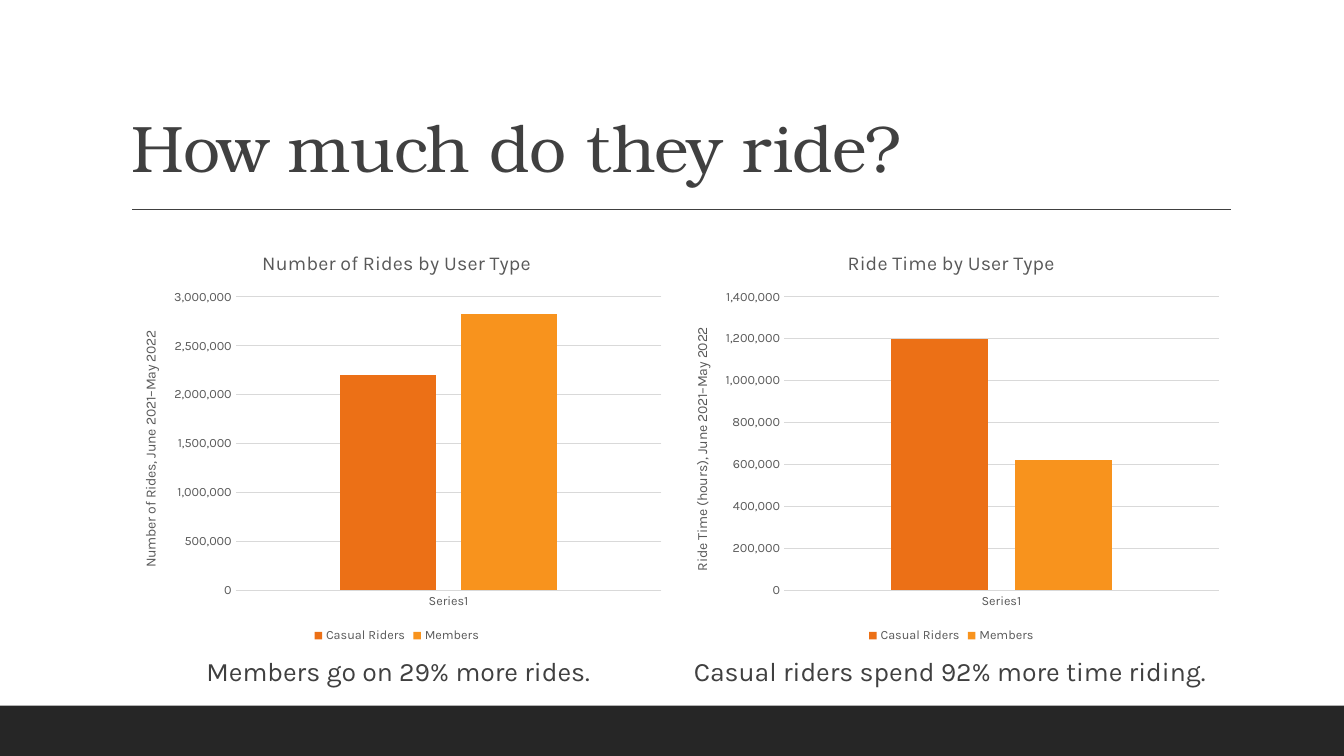
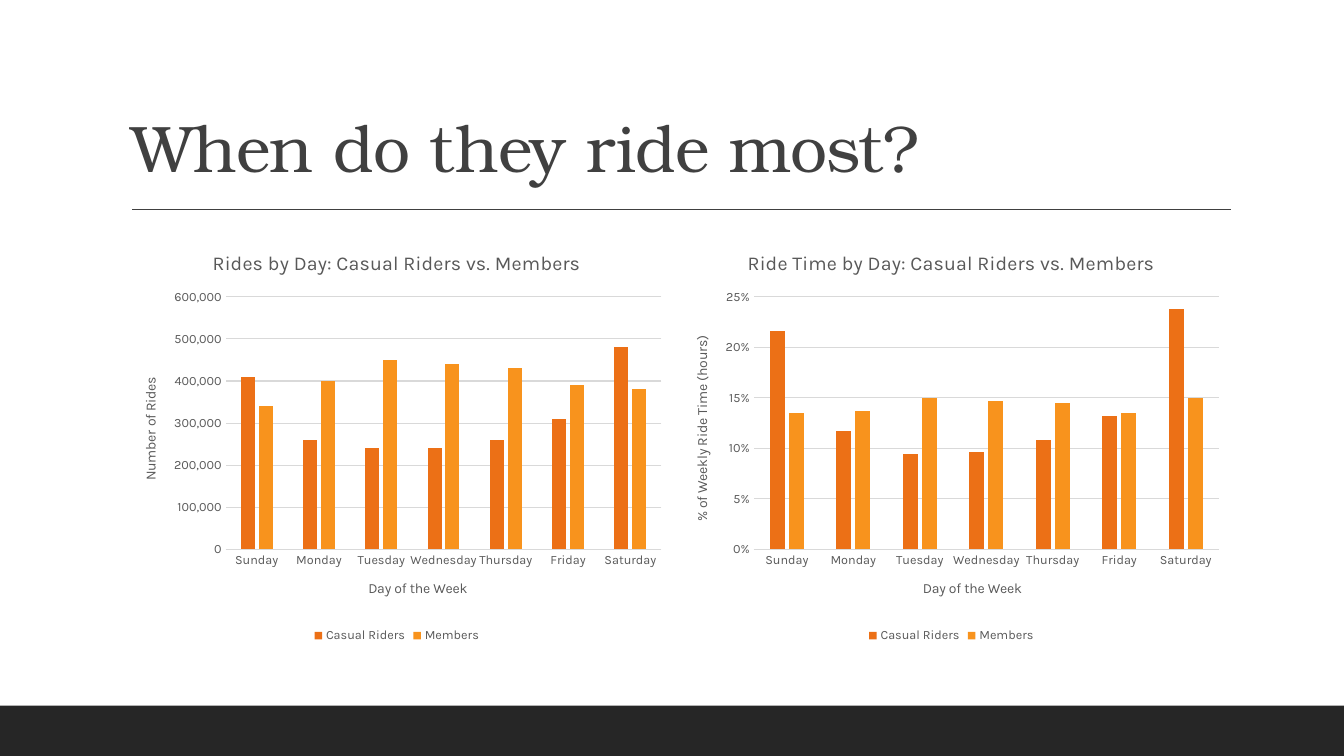
import lxml.etree
import pptx
import pptx.chart.data
import pptx.dml.color
import pptx.enum.chart
import pptx.enum.shapes
import pptx.enum.text
import pptx.oxml.ns
import pptx.util

Inches = pptx.util.Inches
Pt = pptx.util.Pt

TITLE_FONT = "TeX Gyre Bonum"
BODY_FONT = "Karla"
TEXT_COLOR = "404040"
CHART_TEXT_COLOR = "595959"
GRID_COLOR = "D9D9D9"
BAND_COLOR = "262626"
RIDER_COLORS = {"Casual Riders": "EC7016", "Members": "F8931D"}

TWO_CONTENT_LAYOUT = 3
TITLE_ONLY_LAYOUT = 5

LEFT_COLUMN = (1.2, 5.47)
RIGHT_COLUMN = (6.67, 5.53)
CHART_TOP, CHART_HEIGHT = 2.31, 4.11
CAPTION_WIDTH, CAPTION_HEIGHT = 5.5, 0.48

DAYS = ["Sunday", "Monday", "Tuesday", "Wednesday", "Thursday", "Friday", "Saturday"]


def color(hex_string):
    return pptx.dml.color.RGBColor.from_string(hex_string)


def style_font(font, name, size, hex_string):
    font.name = name
    font.size = Pt(size)
    font.bold = False
    font.color.rgb = color(hex_string)


class Deck:
    """Holds the shared style and the slide being built."""

    def __init__(self):
        self.presentation = pptx.Presentation()
        self.presentation.slide_width = Inches(13.33)
        self.presentation.slide_height = Inches(7.5)
        self.slide = None

    def add_slide(self, layout_index, title):
        layout = self.presentation.slide_layouts[layout_index]
        self.slide = self.presentation.slides.add_slide(layout)
        self.add_band()
        self.add_title_rule()
        self.add_title(title)

    def add_band(self):
        band = self.slide.shapes.add_shape(
            pptx.enum.shapes.MSO_SHAPE.RECTANGLE,
            Inches(0), Inches(7), Inches(13.33), Inches(0.5))
        band.shadow.inherit = False
        band.fill.solid()
        band.fill.fore_color.rgb = color(BAND_COLOR)
        band.line.fill.background()

    def add_title_rule(self):
        rule = self.slide.shapes.add_connector(
            pptx.enum.shapes.MSO_CONNECTOR.STRAIGHT,
            Inches(1.31), Inches(2.08), Inches(12.21), Inches(2.08))
        rule.line.color.rgb = color(TEXT_COLOR)
        rule.line.width = Pt(1)
        lxml.etree.SubElement(rule._element.spPr, pptx.oxml.ns.qn("a:effectLst"))

    def fill_placeholder(self, shape, box, text, font_name, size):
        """Move a placeholder to box and return its paragraph and run."""
        shape.left, shape.top, shape.width, shape.height = map(Inches, box)
        frame = shape.text_frame
        frame.word_wrap = True
        frame.auto_size = pptx.enum.text.MSO_AUTO_SIZE.NONE
        paragraph = frame.paragraphs[0]
        paragraph.space_before = Pt(0)
        run = paragraph.add_run()
        run.text = text
        style_font(run.font, font_name, size, TEXT_COLOR)
        return paragraph, run

    def add_title(self, text):
        shape = self.slide.shapes.title
        paragraph, run = self.fill_placeholder(
            shape, (1.2, 0.31, 11, 1.59), text, TITLE_FONT, 47)
        shape.text_frame.vertical_anchor = pptx.enum.text.MSO_ANCHOR.BOTTOM
        paragraph.alignment = pptx.enum.text.PP_ALIGN.LEFT
        paragraph.line_spacing = 0.9
        run.font._element.set("spc", "-50")

    def add_caption(self, placeholder_index, column, text):
        shape = self.slide.placeholders[placeholder_index]
        box = (column[0], CHART_TOP + CHART_HEIGHT, CAPTION_WIDTH, CAPTION_HEIGHT)
        paragraph, run = self.fill_placeholder(shape, box, text, BODY_FONT, 19)
        shape.text_frame.margin_left = shape.text_frame.margin_right = Inches(0)
        paragraph.alignment = pptx.enum.text.PP_ALIGN.CENTER
        paragraph.line_spacing = 1.1
        paragraph.space_after = Pt(2)
        properties = paragraph._p.get_or_add_pPr()
        properties.set("marL", "0")
        properties.set("indent", "0")
        lxml.etree.SubElement(properties, pptx.oxml.ns.qn("a:buNone"))

    def add_chart_text(self, owner, text, size):
        """Give a chart or an axis its title."""
        owner.has_title = True
        title = owner.chart_title if hasattr(owner, "chart_title") else owner.axis_title
        run = title.text_frame.paragraphs[0].add_run()
        run.text = text
        style_font(run.font, BODY_FONT, size, CHART_TEXT_COLOR)

    def style_axis(self, axis, title):
        axis.major_tick_mark = axis.minor_tick_mark = pptx.enum.chart.XL_TICK_MARK.NONE
        style_font(axis.tick_labels.font, BODY_FONT, 9, CHART_TEXT_COLOR)
        if title:
            self.add_chart_text(axis, title, 10)
        else:
            axis.has_title = False

    def add_column_chart(self, column, title, value_title, categories, rider_values,
                         maximum, step, number_format="#,##0", category_title=None):
        """Add a clustered column chart; rider_values follow RIDER_COLORS."""
        data = pptx.chart.data.CategoryChartData(number_format=number_format)
        data.categories = categories
        for rider, values in zip(RIDER_COLORS, rider_values):
            data.add_series(rider, values)
        left, width = column
        chart = self.slide.shapes.add_chart(
            pptx.enum.chart.XL_CHART_TYPE.COLUMN_CLUSTERED,
            Inches(left), Inches(CHART_TOP), Inches(width), Inches(CHART_HEIGHT),
            data).chart
        style_font(chart.font, BODY_FONT, 10, "000000")
        self.add_chart_text(chart, title, 14)
        chart.chart_title.include_in_layout = False

        chart.has_legend = True
        chart.legend.position = pptx.enum.chart.XL_LEGEND_POSITION.BOTTOM
        chart.legend.include_in_layout = False
        style_font(chart.legend.font, BODY_FONT, 9, CHART_TEXT_COLOR)

        plot = chart.plots[0]
        plot.vary_by_categories = False
        plot.gap_width = 219
        plot.overlap = -27
        for series in plot.series:
            series.format.fill.solid()
            series.format.fill.fore_color.rgb = color(RIDER_COLORS[series.name])

        self.style_axis(chart.category_axis, category_title)
        value_axis = chart.value_axis
        self.style_axis(value_axis, value_title)
        value_axis.minimum_scale = 0
        value_axis.maximum_scale = maximum
        value_axis.major_unit = step
        value_axis.tick_labels.number_format = number_format
        value_axis.tick_labels.number_format_is_linked = False
        value_axis.format.line.fill.background()
        for line in (chart.category_axis.format.line,
                     value_axis.major_gridlines.format.line):
            line.color.rgb = color(GRID_COLOR)
            line.width = Pt(0.75)


def build_ride_totals(deck):
    deck.add_slide(TWO_CONTENT_LAYOUT, "How much do they ride?")
    deck.add_column_chart(
        LEFT_COLUMN, "Number of Rides by User Type",
        "Number of Rides, June 2021–May 2022",
        ["Series1"], [[2200000], [2830000]], 3000000, 500000)
    deck.add_column_chart(
        RIGHT_COLUMN, "Ride Time by User Type",
        "Ride Time (hours), June 2021–May 2022",
        ["Series1"], [[1200000], [620000]], 1400000, 200000)
    deck.add_caption(1, LEFT_COLUMN, "Members go on 29% more rides.")
    deck.add_caption(2, RIGHT_COLUMN, "Casual riders spend 92% more time riding.")


def build_rides_by_day(deck):
    deck.add_slide(TITLE_ONLY_LAYOUT, "When do they ride most?")
    deck.add_column_chart(
        LEFT_COLUMN, "Rides by Day: Casual Riders vs. Members", "Number of Rides", DAYS,
        [[410000, 260000, 240000, 240000, 260000, 310000, 480000],
         [340000, 400000, 450000, 440000, 430000, 390000, 380000]],
        600000, 100000, category_title="Day of the Week")
    deck.add_column_chart(
        RIGHT_COLUMN, "Ride Time by Day: Casual Riders vs. Members",
        "% of Weekly Ride Time (hours)", DAYS,
        [[0.216, 0.117, 0.094, 0.096, 0.108, 0.132, 0.238],
         [0.135, 0.137, 0.15, 0.147, 0.145, 0.135, 0.15]],
        0.25, 0.05, number_format="0%", category_title="Day of the Week")


def main():
    deck = Deck()
    build_ride_totals(deck)
    build_rides_by_day(deck)
    deck.presentation.save("out.pptx")


if __name__ == "__main__":
    main()
